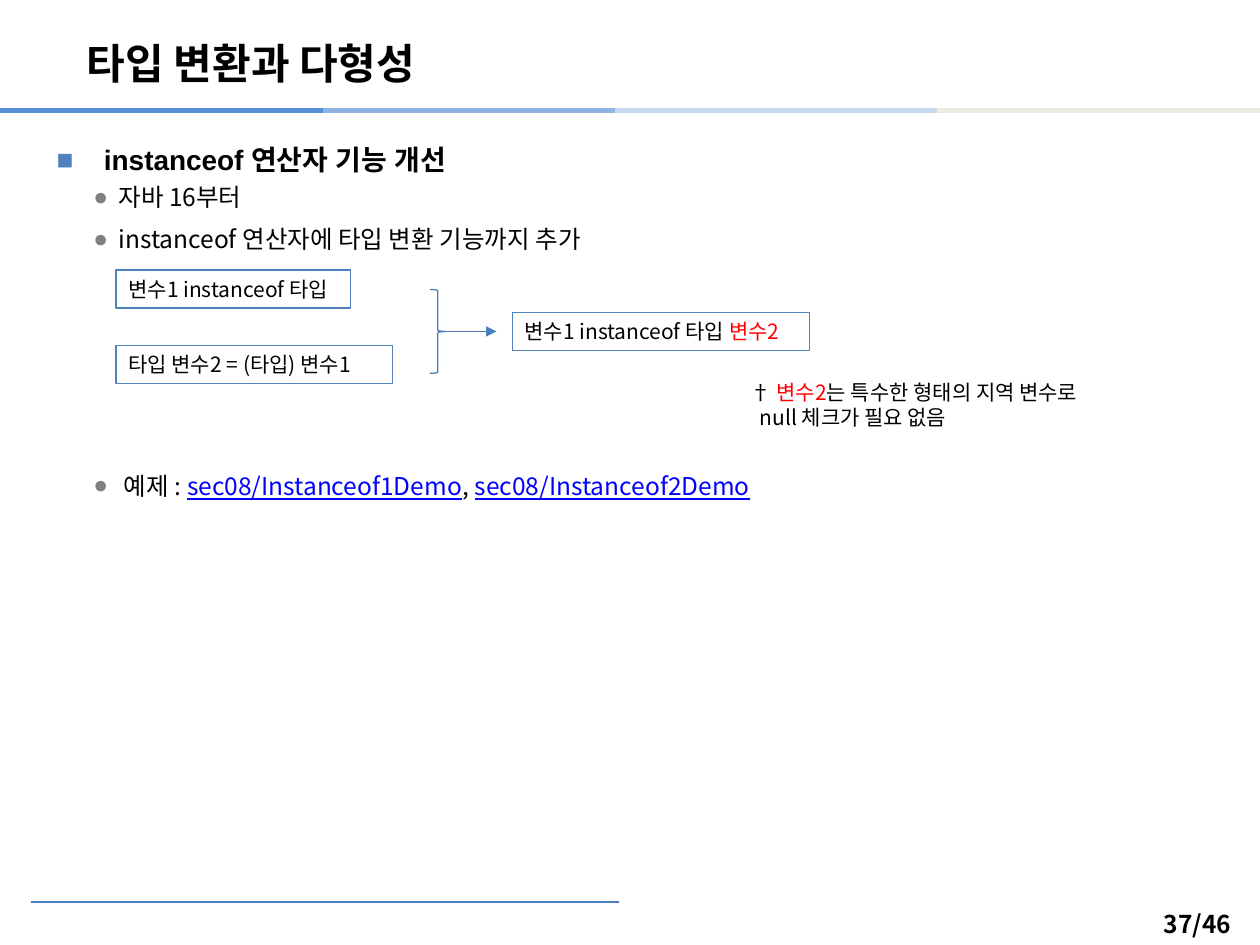
from lxml import etree
from pptx import Presentation
from pptx.dml.color import RGBColor
from pptx.enum import shapes, text
from pptx.oxml.ns import qn
from pptx.util import Pt

BLACK = RGBColor(0x00, 0x00, 0x00)
RED = RGBColor(0xFF, 0x00, 0x00)
LINK_BLUE = RGBColor(0x00, 0x00, 0xFF)
BORDER_BLUE = RGBColor(0x4F, 0x81, 0xBD)
LINE_BLUE = RGBColor(0x4B, 0x7E, 0xBC)
BULLET_GRAY = RGBColor(0x80, 0x80, 0x80)
BAND_1 = RGBColor(0x55, 0x8E, 0xD5)
BAND_2 = RGBColor(0x8E, 0xB4, 0xE3)
BAND_3 = RGBColor(0xC6, 0xD9, 0xF1)
BAND_4 = RGBColor(0xEE, 0xEC, 0xE1)

KOREAN = "Noto Sans CJK KR"
LATIN = "Arial"


class SlideBuilder:
    def __init__(self, slide):
        self.slide = slide

    def place(self, shape, left, top, width, height):
        shape.left, shape.top = Pt(left), Pt(top)
        shape.width, shape.height = Pt(width), Pt(height)

    def add_runs(self, paragraph, runs, size, font=KOREAN, bold=False):
        """Add runs, each a string (black) or a (string, colour) pair."""
        paragraph.alignment = text.PP_ALIGN.LEFT
        for item in runs:
            words, color = (item, BLACK) if isinstance(item, str) else item
            run = paragraph.add_run()
            run.text = words
            run.font.size, run.font.name, run.font.bold = Pt(size), font, bold
            run.font.color.rgb = color
            run.font.underline = color == LINK_BLUE
            east_asian = etree.SubElement(run._r.get_or_add_rPr(), qn("a:ea"))
            east_asian.set("typeface", font)

    def title(self, words, left, top, width, height):
        title = self.slide.shapes.title
        self.place(title, left, top, width, height)
        frame = title.text_frame
        frame.auto_size = text.MSO_AUTO_SIZE.NONE
        frame.vertical_anchor = text.MSO_ANCHOR.MIDDLE
        self.add_runs(frame.paragraphs[0], [words], 24, bold=True)

    def body(self, left, top, width, height):
        body = self.slide.placeholders[1]
        self.place(body, left, top, width, height)
        body.text_frame.auto_size = text.MSO_AUTO_SIZE.NONE
        return body.text_frame

    def bullet(self, paragraph, char, color, margin, hanging):
        props = paragraph._p.get_or_add_pPr()
        props.set("marL", str(Pt(margin)))
        props.set("indent", str(-Pt(hanging)))
        bullet_color = etree.SubElement(props, qn("a:buClr"))
        etree.SubElement(bullet_color, qn("a:srgbClr")).set("val", str(color))
        etree.SubElement(props, qn("a:buChar")).set("char", char)

    def heading(self, paragraph, words):
        paragraph.line_spacing = 1.5
        paragraph.space_before = Pt(0)
        self.bullet(paragraph, "■", BORDER_BLUE, 27, 27)
        self.add_runs(paragraph, [words], 16, LATIN, bold=True)

    def item(self, frame, runs, space_before=3):
        paragraph = frame.add_paragraph()
        paragraph.level = 1
        paragraph.line_spacing = Pt(17)
        paragraph.space_before, paragraph.space_after = Pt(space_before), Pt(4)
        self.bullet(paragraph, "●", BULLET_GRAY, 35.3, 14.4)
        self.add_runs(paragraph, runs, 14)

    def line(self, start, end, color, weight=0.75, arrow=False):
        line = self.slide.shapes.add_connector(
            shapes.MSO_CONNECTOR.STRAIGHT, *map(Pt, start + end))
        line.line.color.rgb, line.line.width = color, Pt(weight)
        if arrow:
            stroke = line._element.spPr.find(qn("a:ln"))
            etree.SubElement(stroke, qn("a:tailEnd")).set("type", "triangle")
        etree.SubElement(line._element.spPr, qn("a:effectLst"))

    def outline(self, kind, left, top, width, height, color):
        shape = self.slide.shapes.add_shape(
            kind, *map(Pt, (left, top, width, height)))
        shape.shadow.inherit = False
        shape.fill.background()
        shape.line.color.rgb, shape.line.width = color, Pt(0.75)
        return shape

    def code_box(self, runs, left, top, width):
        box = self.outline(shapes.MSO_SHAPE.RECTANGLE,
                           left, top, width, 21.8, BORDER_BLUE)
        frame = box.text_frame
        frame.word_wrap = True
        frame.vertical_anchor = text.MSO_ANCHOR.MIDDLE
        frame.margin_top = frame.margin_bottom = frame.margin_right = 0
        self.add_runs(frame.paragraphs[0], runs, 12)

    def text_box(self, left, top, width, height):
        box = self.slide.shapes.add_textbox(
            *map(Pt, (left, top, width, height)))
        box.text_frame.word_wrap = True
        box.text_frame.margin_right = 0
        return box.text_frame


def main():
    deck = Presentation()
    deck.slide_width, deck.slide_height = Pt(720), Pt(540)
    page = SlideBuilder(deck.slides.add_slide(deck.slide_layouts[1]))

    band_width = 184.32
    for start, color in ((167.04, BAND_2), (351.36, BAND_3),
                         (535.68, BAND_4), (0, BAND_1)):
        page.line((start, 63.2), (start + band_width, 63.2), color, 3)
    page.line((17.6, 515.5), (353.6, 515.5), LINE_BLUE)

    page_number = page.text_box(658, 515.5, 55.5, 24.5)
    page_number.vertical_anchor = text.MSO_ANCHOR.MIDDLE
    page.add_runs(page_number.paragraphs[0], ["37/46"], 14, bold=True)

    page.title("타입 변환과 다형성", 42.5, 14.4, 595.5, 43.2)
    body = page.body(25.2, 68.4, 664, 451.4)
    page.heading(body.paragraphs[0], "instanceof 연산자 기능 개선")
    page.item(body, ["자바 16부터"])
    page.item(body, ["instanceof 연산자에 타입 변환 기능까지 추가"])
    page.item(body, [" 예제 : ", ("sec08/Instanceof1Demo", LINK_BLUE), ", ",
                     ("sec08/Instanceof2Demo", LINK_BLUE)], space_before=120)

    page.code_box(["변수1 instanceof 타입"], 66.3, 154.3, 134.2)
    page.code_box(["타입 변수2 = (타입) 변수1"], 66.3, 197.3, 157.9)
    page.outline(shapes.MSO_SHAPE.RIGHT_BRACE, 245.7, 165.4, 9, 48, LINE_BLUE)
    page.line((254.7, 189.4), (283.7, 189.4), LINE_BLUE, arrow=True)
    page.code_box(["변수1 instanceof 타입 ", ("변수2", RED)],
                  292.7, 178.5, 169.7)

    note = page.text_box(422, 213.2, 217, 36)
    first, second = note.paragraphs[0], note.add_paragraph()
    page.add_runs(first, ["† ", ("변수2", RED), "는 특수한 형태의 지역 변수로"], 12)
    page.add_runs(second, ["null 체크가 필요 없음"], 12)
    first.line_spacing = second.line_spacing = Pt(14.4)
    second._p.get_or_add_pPr().set("marL", str(Pt(5)))

    deck.save("out.pptx")


if __name__ == "__main__":
    main()
